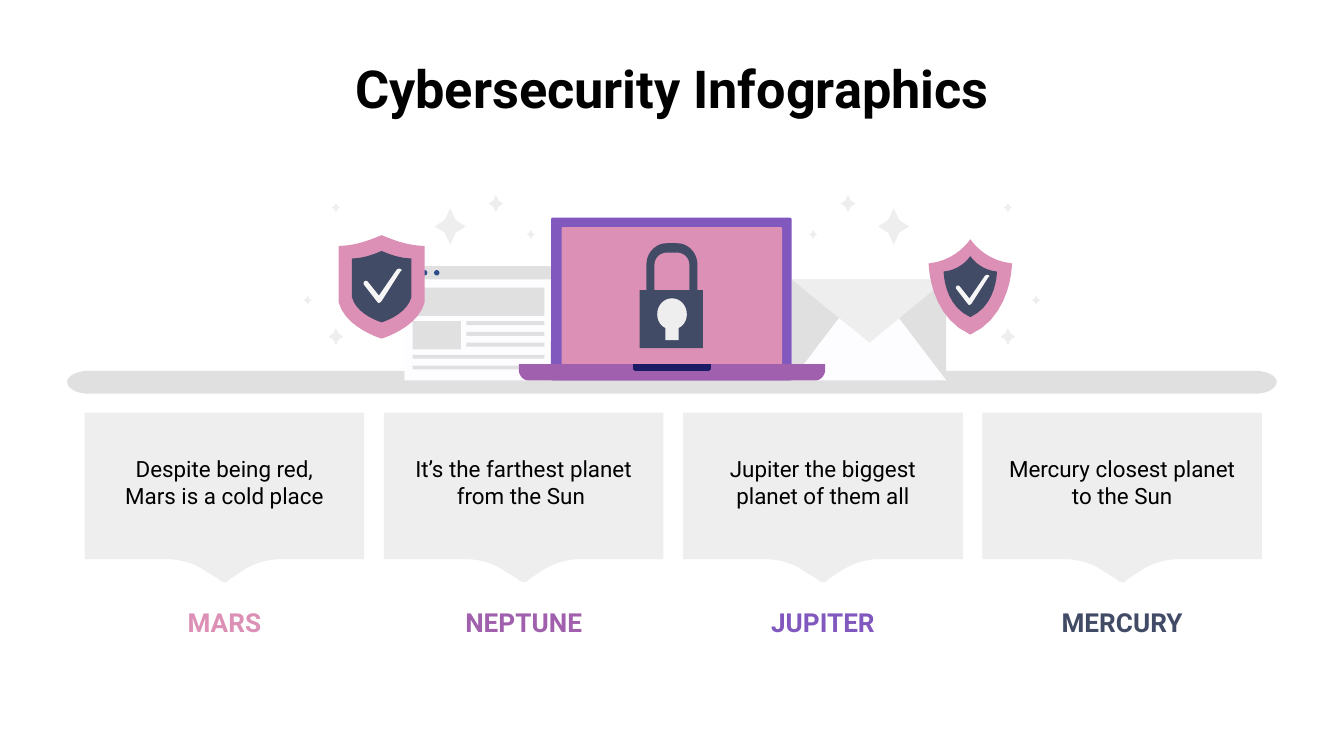
from pptx import Presentation
from pptx.dml.color import RGBColor
from pptx.enum.shapes import MSO_SHAPE
from pptx.enum.text import MSO_ANCHOR, MSO_AUTO_SIZE, PP_ALIGN
from pptx.util import Inches, Pt

BLACK = RGBColor(0x00, 0x00, 0x00)
PINK = RGBColor(0xDD, 0x90, 0xB6)
ORCHID = RGBColor(0xA0, 0x60, 0xAD)
VIOLET = RGBColor(0x80, 0x58, 0xBE)
SLATE = RGBColor(0x42, 0x4B, 0x66)
NAVY = RGBColor(0x1C, 0x1C, 0x66)
BLUE = RGBColor(0x2D, 0x4C, 0x8A)
GRAY = RGBColor(0xE0, 0xE0, 0xE0)
LIGHT = RGBColor(0xEE, 0xEE, 0xEE)
PAPER = RGBColor(0xFD, 0xFD, 0xFF)
CHECK = RGBColor(0xF6, 0xF6, 0xF6)

FONT = "Roboto"
CURVE_STEPS = 10

PLANETS = [
    ("MARS", "Despite being red, Mars is a cold place", PINK),
    ("NEPTUNE", "It’s the farthest planet from the Sun ", ORCHID),
    ("JUPITER", "Jupiter the biggest planet of them all", VIOLET),
    ("MERCURY", "Mercury closest planet to the Sun", SLATE),
]

SHELF = [(0.66, 2.76), (0.57, 2.76, 0.5, 2.8, 0.5, 2.84), (0.5, 2.89, 0.57, 2.93, 0.66, 2.93),
         (9.34, 2.93), (9.43, 2.93, 9.5, 2.89, 9.5, 2.84), (9.5, 2.8, 9.43, 2.76, 9.34, 2.76)]
LAPTOP_BASE = [(3.86, 2.71), (3.86, 2.75), (3.86, 2.79, 3.89, 2.83, 3.93, 2.83),
               (6.07, 2.83), (6.11, 2.83, 6.14, 2.79, 6.14, 2.75), (6.14, 2.71)]
LAPTOP_NOTCH = [(4.71, 2.71), (4.71, 2.74), (4.71, 2.75, 4.72, 2.76, 4.73, 2.76),
                (5.27, 2.76), (5.28, 2.76, 5.29, 2.75, 5.29, 2.74), (5.29, 2.71)]
SHACKLE_HOLE = [(5.04, 1.88), (5.09, 1.88, 5.13, 1.92, 5.13, 1.97), (5.13, 2.16),
                (4.87, 2.16), (4.87, 1.97), (4.87, 1.92, 4.91, 1.88, 4.96, 1.88)]
LOCK_BODY = [(4.96, 1.81), (4.88, 1.81, 4.81, 1.88, 4.81, 1.97), (4.81, 2.16), (4.76, 2.16),
             (4.76, 2.59), (5.23, 2.59), (5.23, 2.16), (5.19, 2.16), (5.19, 1.97),
             (5.19, 1.88, 5.12, 1.81, 5.04, 1.81)]
KEYHOLE = [(5, 2.22), (4.94, 2.22, 4.89, 2.27, 4.89, 2.34), (4.89, 2.38, 4.91, 2.42, 4.95, 2.44),
           (4.95, 2.53), (5.05, 2.53), (5.05, 2.44), (5.09, 2.42, 5.11, 2.38, 5.11, 2.34),
           (5.11, 2.27, 5.06, 2.22, 5, 2.22)]
BROAD_SHIELD = [(0, -0.38), (-0.16, -0.31, -0.26, -0.3, -0.32, -0.3), (-0.32, 0.12),
                (-0.27, 0.31, 0, 0.39, 0, 0.39), (0, 0.39, 0.27, 0.31, 0.32, 0.12),
                (0.32, -0.3), (0.26, -0.3, 0.16, -0.31, 0, -0.38)]
POINTED_SHIELD = [(0, -0.35), (0, -0.35, -0.1, -0.19, -0.31, -0.17),
                  (-0.31, -0.17, -0.31, 0.22, 0, 0.36), (0.31, 0.22, 0.31, -0.17, 0.31, -0.17),
                  (0.1, -0.19, 0, -0.35, 0, -0.35)]
CHECK_MARK = [(0.12, -0.13), (0.12, -0.13, 0.11, -0.13, 0.1, -0.12), (-0.03, 0.07), (-0.11, -0.03),
              (-0.12, -0.04, -0.12, -0.04, -0.13, -0.04), (-0.14, -0.04, -0.15, -0.02, -0.14, -0.01),
              (-0.04, 0.12), (-0.03, 0.13, -0.02, 0.12, -0.01, 0.11), (0.13, -0.11),
              (0.15, -0.12, 0.13, -0.13, 0.12, -0.13)]
BUBBLE = [(0.01, 3.07), (2.09, 3.07), (2.09, 4.16), (1.48, 4.16),
          (1.37, 4.16, 1.27, 4.19, 1.18, 4.25), (1.09, 4.31),
          (1.07, 4.34, 1.03, 4.34, 1.01, 4.31), (0.91, 4.25),
          (0.83, 4.19, 0.72, 4.16, 0.61, 4.16), (0.01, 4.16)]


def paint(shape, color):
    shape.shadow.inherit = False
    shape.fill.solid()
    shape.fill.fore_color.rgb = color
    shape.line.fill.background()


def add_preset(shapes, kind, color, left, top, width, height):
    shape = shapes.add_shape(kind, Inches(left), Inches(top), Inches(width), Inches(height))
    paint(shape, color)
    return shape


def flatten(contour):
    points = []
    for step in contour:
        if len(step) == 2:
            points.append(step)
            continue
        x0, y0 = points[-1]
        x1, y1, x2, y2, x3, y3 = step
        for index in range(1, CURVE_STEPS + 1):
            t = index / CURVE_STEPS
            a, b, c, d = (1 - t) ** 3, 3 * t * (1 - t) ** 2, 3 * t * t * (1 - t), t ** 3
            points.append((a * x0 + b * x1 + c * x2 + d * x3, a * y0 + b * y1 + c * y2 + d * y3))
    return points


def add_outline(shapes, color, *contours, origin=(0, 0), scale=1):
    builder = None
    for contour in contours:
        points = [(Inches(origin[0] + scale * x), Inches(origin[1] + scale * y))
                  for x, y in flatten(contour)]
        if builder is None:
            builder = shapes.build_freeform(*points[0])
        else:
            builder.move_to(*points[0])
        builder.add_line_segments(points[1:], close=True)
    paint(builder.convert_to_shape(), color)


def format_text(shape, text, size, color, bold):
    frame = shape.text_frame
    frame.text = text
    para = frame.paragraphs[0]
    para.alignment = PP_ALIGN.CENTER
    span = para.runs[0]
    span.font.name = FONT
    span.font.size = Pt(size)
    span.font.bold = bold
    span.font.color.rgb = color


def add_text(shapes, text, left, top, height, size, color, bold=False):
    box = shapes.add_textbox(Inches(left), Inches(top), Inches(2.1), Inches(height))
    frame = box.text_frame
    frame.word_wrap = True
    frame.vertical_anchor = MSO_ANCHOR.MIDDLE
    frame.margin_left = frame.margin_right = Inches(0.2)
    frame.margin_top = frame.margin_bottom = Inches(0.1)
    format_text(box, text, size, color, bold)


def set_title(page):
    title = page.shapes.title
    title.left, title.top, title.width, title.height = map(Inches, (0.5, 0.32, 9, 0.63))
    frame = title.text_frame
    frame.auto_size = MSO_AUTO_SIZE.NONE
    frame.vertical_anchor = MSO_ANCHOR.TOP
    frame.margin_left = frame.margin_right = frame.margin_top = frame.margin_bottom = Inches(0.1)
    format_text(title, "Cybersecurity Infographics", 28, BLACK, True)


def add_browser(shapes):
    add_preset(shapes, MSO_SHAPE.RECTANGLE, PAPER, 3.01, 1.98, 1.1, 0.85)
    add_preset(shapes, MSO_SHAPE.RECTANGLE, GRAY, 3.01, 1.98, 1.1, 0.1)
    for left in (3.06, 3.14, 3.23):
        add_preset(shapes, MSO_SHAPE.OVAL, BLUE, left, 2.01, 0.04, 0.04)
    blocks = [(3.07, 2.14, 0.98, 0.21), (3.07, 2.39, 0.36, 0.21)]
    blocks += [(3.47, top, 0.58, 0.03) for top in (2.39, 2.47, 2.55)]
    blocks += [(3.07, top, 0.98, 0.03) for top in (2.64, 2.72)]
    for block in blocks:
        add_preset(shapes, MSO_SHAPE.RECTANGLE, GRAY, *block)


def add_envelope(shapes):
    add_preset(shapes, MSO_SHAPE.RECTANGLE, GRAY, 5.89, 2.08, 1.15, 0.75)
    add_outline(shapes, PAPER, [(6.24, 2.37), (5.89, 2.83), (7.04, 2.83), (6.69, 2.37)])
    add_outline(shapes, LIGHT, [(5.89, 2.08), (6.47, 2.55), (7.04, 2.08)])


def add_shield(shapes, contour, center, inner_scale, check_center, check_scale):
    add_outline(shapes, PINK, contour, origin=center)
    add_outline(shapes, SLATE, contour, origin=center, scale=inner_scale)
    add_outline(shapes, CHECK, CHECK_MARK, origin=check_center, scale=check_scale)


def add_laptop(shapes):
    add_preset(shapes, MSO_SHAPE.ROUNDED_RECTANGLE, VIOLET, 4.1, 1.62, 1.79, 1.21).adjustments[0] = 0.01
    add_preset(shapes, MSO_SHAPE.ROUNDED_RECTANGLE, PINK, 4.18, 1.69, 1.64, 1.06).adjustments[0] = 0.01
    add_outline(shapes, ORCHID, LAPTOP_BASE)
    add_outline(shapes, NAVY, LAPTOP_NOTCH)
    add_outline(shapes, SLATE, SHACKLE_HOLE, LOCK_BODY)
    add_outline(shapes, LIGHT, KEYHOLE)


def add_stars(shapes):
    small, medium, large = (0.06, 0.07), (0.11, 0.13), (0.23, 0.27)
    stars = [(1.05, 1.71, small), (1.31, 1.45, medium), (1.65, 1.55, large),
             (2.5, 2.44, medium), (2.71, 2.2, small), (2.5, 1.51, small)]
    for side in (1, -1):
        for offset, top, (width, height) in stars:
            star = add_preset(shapes, MSO_SHAPE.STAR_4_POINT, LIGHT,
                              5 + side * offset - width / 2, top, width, height)
            star.adjustments[0] = 0.25


def add_illustration(page):
    shapes = page.shapes.add_group_shape().shapes
    add_outline(shapes, GRAY, SHELF)
    add_browser(shapes)
    add_envelope(shapes)
    add_shield(shapes, POINTED_SHIELD, (7.22, 2.13), 0.64, (7.24, 2.16), 0.88)
    add_shield(shapes, BROAD_SHIELD, (2.84, 2.13), 0.69, (2.85, 2.13), 1)
    add_laptop(shapes)
    add_stars(shapes)


def add_planet(page, left, name, description, color):
    shapes = page.shapes.add_group_shape().shapes
    add_outline(shapes, LIGHT, BUBBLE, origin=(left, 0))
    add_text(shapes, description, left, 3.31, 0.55, 12, BLACK)
    add_text(shapes, name, left, 4.39, 0.47, 14, color, True)


def main():
    deck = Presentation()
    deck.slide_width, deck.slide_height = Inches(10), Pt(405)
    page = deck.slides.add_slide(deck.slide_layouts[5])
    set_title(page)
    add_illustration(page)
    pitch = (7.3 - 0.62) / (len(PLANETS) - 1)
    for index, planet in enumerate(PLANETS):
        add_planet(page, 0.62 + pitch * index, *planet)
    deck.save("out.pptx")


if __name__ == "__main__":
    main()
